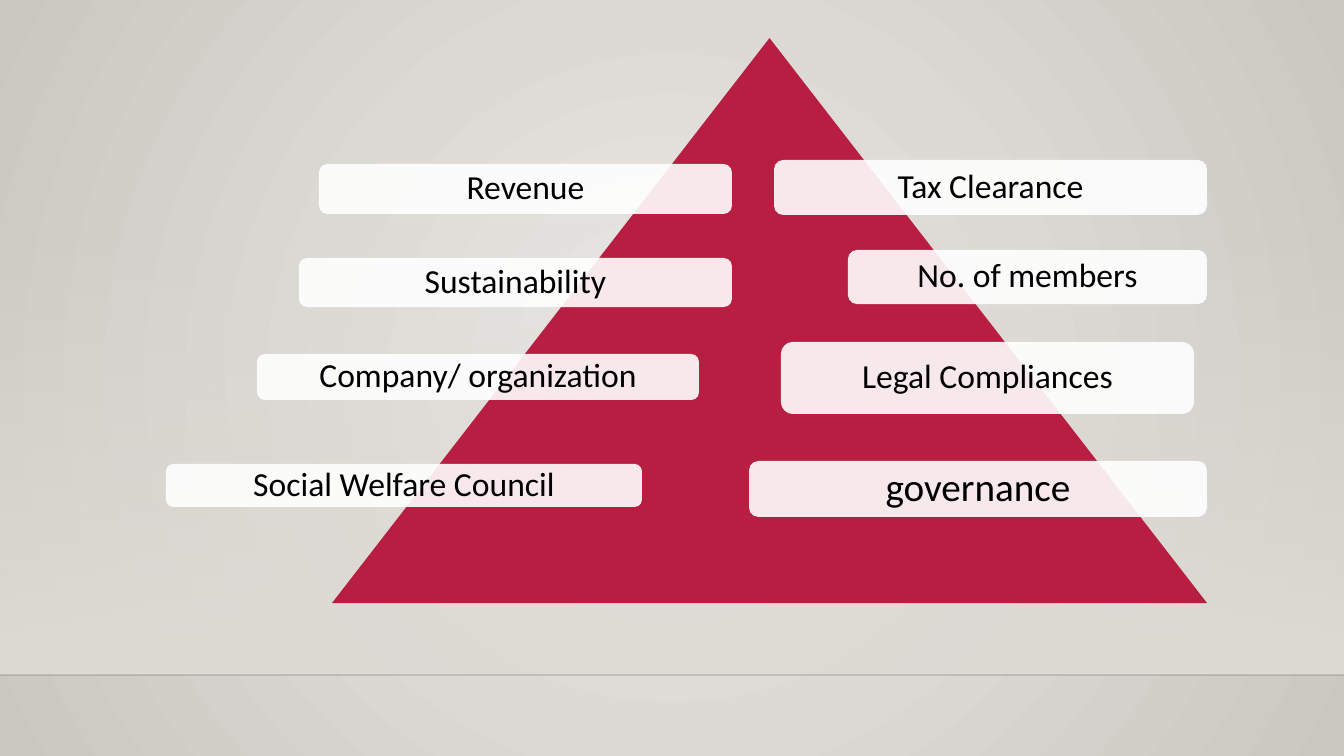
from lxml import etree
from pptx import Presentation
from pptx import util as u
from pptx.dml.color import RGBColor
from pptx.enum import shapes, text
from pptx.oxml.ns import qn

EMU_PER_PX = 914400 / 100.8
SLIDE_W, SLIDE_H = 1344, 756
FLOOR_Y = 675

GLOW = RGBColor(0xEC, 0xEA, 0xE7)
EDGE = RGBColor(0xCA, 0xC7, 0xC1)
WALL = RGBColor(0xDF, 0xDB, 0xD5)
CRIMSON = RGBColor(0xB7, 0x1E, 0x42)
WHITE = RGBColor(0xFF, 0xFF, 0xFF)
BLACK = RGBColor(0, 0, 0)

# Label, left, top, width, height (relative to the pyramid region), text size
LABELS = [
    ("Revenue", 153, 126, 413, 50, 24),
    ("Sustainability", 133, 220, 433, 49, 24),
    ("Company/ organization", 91, 316, 442, 46, 24),
    ("Social Welfare Council", 0, 426, 476, 43, 24),
    ("Tax Clearance", 608, 122, 433, 55, 24),
    ("No. of members", 682, 212, 359, 54, 24),
    ("Legal Compliances", 615, 304, 413, 72, 24),
    ("governance", 583, 423, 458, 56, 28),
]


def px(length):
    return u.Emu(round(length * EMU_PER_PX))


def set_alpha(parent, percent):
    """Give the colour inside a fill or gradient stop its opacity."""
    colour = next(parent.iter(qn("a:srgbClr")))
    etree.SubElement(colour, qn("a:alpha")).set("val", str(percent * 1000))


def set_gradient(fill, start, end):
    fill.gradient()
    for stop, colour, position in zip(fill.gradient_stops, (start, end), (0, 1)):
        stop.color.rgb = colour
        stop.position = position


def add_plain_shape(slide, kind, left, top, width, height):
    shape = slide.shapes.add_shape(kind, px(left), px(top), px(width), px(height))
    shape.shadow.inherit = False
    shape.line.fill.background()
    return shape


def draw_backdrop(slide, left, top, width, height):
    # Radial glow behind everything
    fill = slide.background.fill
    set_gradient(fill, GLOW, EDGE)
    gradient = next(slide.element.iter(qn("a:gradFill")))
    linear = gradient.find(qn("a:lin"))
    radial = etree.Element(qn("a:path"), {"path": "circle"})
    etree.SubElement(radial, qn("a:fillToRect"),
                     {side: "50000" for side in "ltrb"})
    gradient.replace(linear, radial)

    # Wall fading in towards the floor
    wall = add_plain_shape(slide, shapes.MSO_SHAPE.RECTANGLE,
                           left, top, width, height)
    set_gradient(wall.fill, WALL, WALL)
    wall.fill.gradient_angle = 270
    set_alpha(next(wall.element.iter(qn("a:gs"))), 0)

    # Floor line
    floor_y = px(top + height)
    floor = slide.shapes.add_connector(shapes.MSO_CONNECTOR.STRAIGHT, px(left),
                                       floor_y, px(left + width), floor_y)
    floor.line.width = u.Pt(1)
    floor.line.color.rgb = BLACK
    set_alpha(floor.element.spPr, 20)
    etree.SubElement(floor.element.spPr, qn("a:effectLst"))


def draw_label(slide, wording, left, top, width, height, size):
    label = add_plain_shape(slide, shapes.MSO_SHAPE.ROUNDED_RECTANGLE,
                            left, top, width, height)
    label.fill.solid()
    label.fill.fore_color.rgb = WHITE
    set_alpha(label.element.spPr, 90)
    frame = label.text_frame
    frame.text = wording
    frame.word_wrap = True
    frame.vertical_anchor = text.MSO_ANCHOR.MIDDLE
    frame.margin_top = frame.margin_bottom = 0
    line = frame.paragraphs[0]
    line.alignment = text.PP_ALIGN.CENTER
    line.line_spacing = 0.9
    font = line.runs[0].font
    font.name = "Calibri"
    font.size = u.Pt(size)
    font.color.rgb = BLACK


def draw_pyramid(slide, left, top, width, height):
    # Triangle keeps to the right; the labels reach out to the left
    overhang = 166
    pyramid = add_plain_shape(slide, shapes.MSO_SHAPE.ISOSCELES_TRIANGLE,
                              left + overhang, top, width - overhang, height)
    pyramid.fill.solid()
    pyramid.fill.fore_color.rgb = CRIMSON
    for wording, dx, dy, label_w, label_h, size in LABELS:
        draw_label(slide, wording, left + dx, top + dy, label_w, label_h, size)


def main():
    deck = Presentation()
    deck.slide_width, deck.slide_height = px(SLIDE_W), px(SLIDE_H)
    slide = deck.slides.add_slide(deck.slide_layouts[6])
    draw_backdrop(slide, 0, 223, SLIDE_W, FLOOR_Y - 223)
    draw_pyramid(slide, 166, 38, 1041, 565)
    deck.save("out.pptx")


if __name__ == "__main__":
    main()
